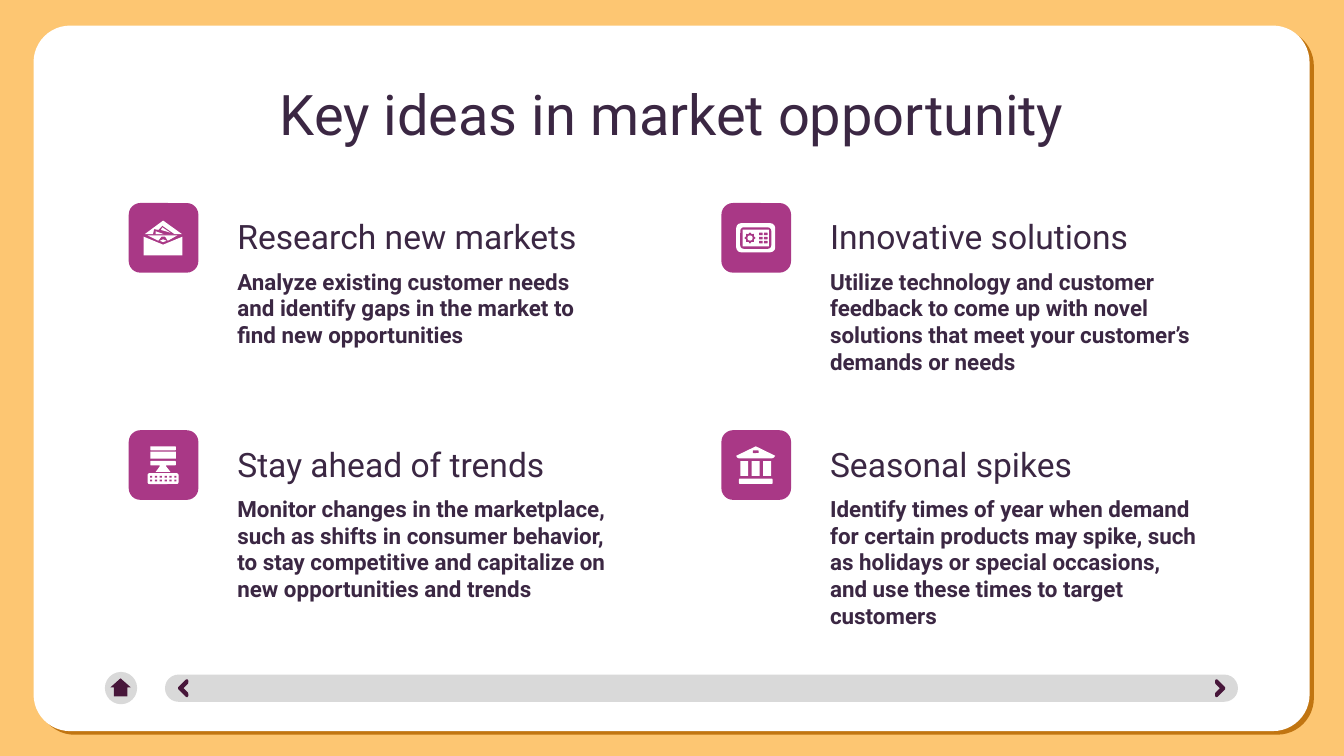
from itertools import product
from lxml import etree
from pptx import Presentation
from pptx.dml.color import RGBColor
from pptx.enum import shapes, text
from pptx.oxml.ns import qn
from pptx.util import Pt

INK, PLUM, WHITE, GREY, DARK = "3B2743", "A93886", "FFFFFF", "D9D9D9", "47163A"
FONT = "Roboto"
TITLE = "Key ideas in market opportunity"
KIND = shapes.MSO_SHAPE
RECT, ROUND, OVAL = KIND.RECTANGLE, KIND.ROUNDED_RECTANGLE, KIND.OVAL

ENVELOPE = [
    (WHITE, [(8.6, 16.6), (18.4, 9.4), (28.4, 16.6)]),
    (PLUM, [(13, 16.7), (13.6, 14), (16, 14.4), (18, 12.2), (24.5, 16.7)]),
    (WHITE, [(14.4, 16.6), (14.4, 15.1), (18.7, 16.6)]),
    (WHITE, [(17.3, 14.4), (18, 13), (22.3, 15.8)]),
    (WHITE, [(8, 18), (18.4, 22.3), (28.8, 18), (28.8, 28), (8, 28)]),
    (WHITE, [(10.1, 17.3), (26, 17.3), (20.9, 20.2), (19.5, 18), (17.5, 18), (15.8, 20.2)]),
    (WHITE, [(16.6, 20.2), (18.4, 19.4), (20.2, 20.2), (18.4, 20.9)]),
]
SAFE = [
    (WHITE, ROUND, 7.9, 10.8, 20.9, 15.6),
    (PLUM, ROUND, 10.1, 13, 16.6, 11.5),
    (WHITE, RECT, 11.4, 14.2, 14, 9),
    (PLUM, KIND.STAR_8_POINT, 12.3, 15.7, 6, 6),
    (WHITE, OVAL, 13.9, 17.3, 2.8, 2.8),
] + [(PLUM, ROUND, x, y, 1.9, 1.3) for x, y in product((20.2, 22.8), (15.9, 18.1, 20.3))]
COMPUTER = [
    (WHITE, ROUND, 11.5, 8.6, 13.7, 2.2),
    (WHITE, RECT, 11.5, 11.5, 13.7, 3.7),
    (WHITE, ROUND, 11.5, 16.4, 13.7, 2.4),
    (WHITE, [(16.6, 18.7), (20, 18.7), (20, 19.4), (22.3, 22.3), (14.4, 22.3), (16.6, 19.4)]),
    (WHITE, ROUND, 10.1, 23, 16.6, 5.8),
] + [(PLUM, RECT, 11.4 + 2.6 * i, y, 1.2, 1) for i, y in product(range(6), (24.4, 26.5))]
BANK = [
    (WHITE, [(7.9, 13.7), (18.4, 8.6), (28.8, 13.7), (28.1, 14.6), (27, 15.1), (9.4, 15.1), (8.3, 14.6)]),
    (PLUM, ROUND, 16.9, 10.8, 3, 1.4),
    (WHITE, ROUND, 9.4, 25.9, 18, 2.9),
] + [(WHITE, RECT, 10.1 + 6.1 * i, 16.6, 4.3, 7.9) for i in range(3)]

IDEAS = [
    ("Research new markets",
     "Analyze existing customer needs and identify gaps in the market to find new opportunities", ENVELOPE),
    ("Innovative solutions",
     "Utilize technology and customer feedback to come up with novel solutions that meet your customer’s demands or needs", SAFE),
    ("Stay ahead of trends",
     "Monitor changes in the marketplace, such as shifts in consumer behavior, to stay competitive and capitalize on new opportunities and trends", COMPUTER),
    ("Seasonal spikes",
     "Identify times of year when demand for certain products may spike, such as holidays or special occasions, and use these times to target customers", BANK),
]


def rgb(value):
    return RGBColor.from_string(value)


def paint(sp, color):
    sp.shadow.inherit = False
    sp.fill.solid()
    sp.fill.fore_color.rgb = rgb(color)
    sp.line.fill.background()
    return sp


def shape(s, kind, x, y, w, h, color, adj=()):
    sp = paint(s.shapes.add_shape(kind, Pt(x), Pt(y), Pt(w), Pt(h)), color)
    for i, value in enumerate(adj):
        sp.adjustments[i] = value
    return sp


def polygon(s, points, x, y, color):
    pts = [(Pt(x + px), Pt(y + py)) for px, py in points]
    builder = s.shapes.build_freeform(*pts[0], scale=1.0)
    builder.add_line_segments(pts[1:], close=True)
    paint(builder.convert_to_shape(), color)


def write(sp, words, size, bold=False, anchor=text.MSO_ANCHOR.TOP, align=text.PP_ALIGN.LEFT):
    tf = sp.text_frame
    tf.word_wrap = True
    tf.auto_size = text.MSO_AUTO_SIZE.NONE
    tf.vertical_anchor = anchor
    tf.margin_left = tf.margin_right = tf.margin_top = tf.margin_bottom = Pt(7.2)
    p = tf.paragraphs[0]
    p.alignment = align
    r = p.add_run()
    r.text = words
    r.font.name, r.font.size, r.font.bold = FONT, Pt(size), bold
    r.font.color.rgb = rgb(INK)


def add_card(s):
    card = shape(s, ROUND, 18, 13.7, 683.6, 378, WHITE, [0.052])
    effects = card.element.spPr.find(qn("a:effectLst"))
    shadow = etree.SubElement(effects, qn("a:outerShdw"), blurRad="0", dist=str(Pt(3)),
                              dir=str(40 * 60000), algn="bl", rotWithShape="0")
    etree.SubElement(shadow, qn("a:srgbClr"), val="C17511")


def add_navigation(s):
    shape(s, ROUND, 88.4, 361.4, 574.8, 14.6, GREY, [0.5])
    for x, angle in ((97.2, 315), (648.8, 135)):
        chevron = shape(s, KIND.HALF_FRAME, x, 365.8, 5.8, 5.8, DARK, [0.153, 0.153])
        chevron.rotation = angle
        chevron.line.color.rgb = rgb(DARK)
        chevron.line.width = Pt(1.5)
    shape(s, OVAL, 56.2, 360, 17.3, 17.3, GREY)
    shape(s, KIND.UP_ARROW, 59.2, 363.4, 10.8, 9.6, DARK, [0.669, 0.5])


def add_idea(s, x, y, heading, body, icon):
    shape(s, ROUND, x, y, 37.3, 37.3, PLUM, [0.167])
    for color, *part in icon:
        if len(part) == 1:
            polygon(s, part[0], x, y, color)
        else:
            kind, dx, dy, w, h = part
            shape(s, kind, x + dx, y + dy, w, h, color)
    left = Pt(x + 51.1)
    write(s.shapes.add_textbox(left, Pt(y + 1.9), Pt(213), Pt(34)), heading, 18,
          anchor=text.MSO_ANCHOR.BOTTOM)
    write(s.shapes.add_textbox(left, Pt(y + 27.4), Pt(213), Pt(68.4)), body, 12, bold=True)


def main():
    prs = Presentation()
    prs.slide_width, prs.slide_height = Pt(720), Pt(405)
    s = prs.slides.add_slide(prs.slide_layouts[5])
    s.background.fill.solid()
    s.background.fill.fore_color.rgb = rgb("FDC672")
    add_card(s)
    add_navigation(s)

    title = s.shapes.title
    title.left, title.top, title.width, title.height = Pt(56.7), Pt(35.3), Pt(606.6), Pt(45.4)
    write(title, TITLE, 30, align=text.PP_ALIGN.CENTER)
    title.element.getparent().append(title.element)

    for i, idea in enumerate(IDEAS):
        row, col = divmod(i, 2)
        add_idea(s, 69 + 317.5 * col, 108.8 + 121.7 * row, *idea)
    prs.save("out.pptx")


if __name__ == "__main__":
    main()
